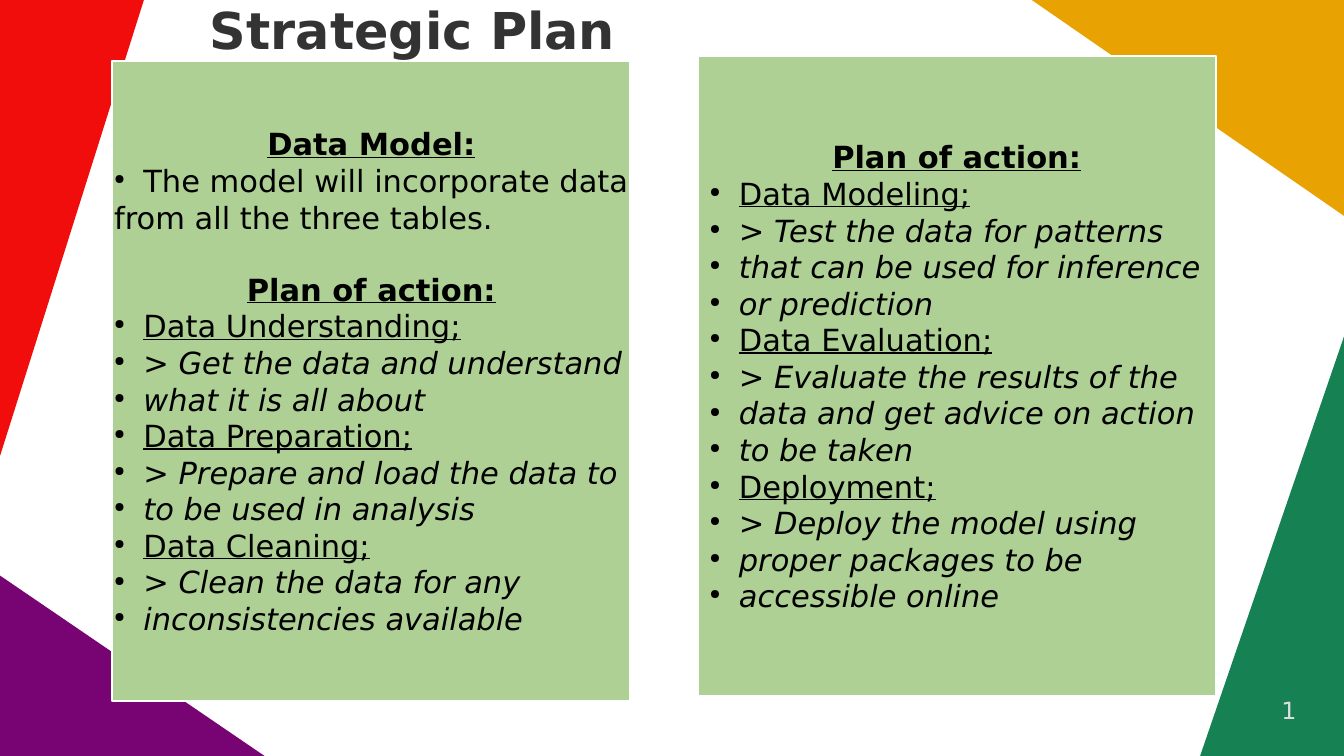
from dataclasses import dataclass
from enum import Enum

from lxml.etree import SubElement
from pptx import Presentation
from pptx.dml.color import RGBColor
from pptx.enum.shapes import MSO_SHAPE
from pptx.enum.text import MSO_ANCHOR, MSO_AUTO_SIZE, PP_ALIGN
from pptx.oxml.ns import qn
from pptx.slide import Slide
from pptx.util import Inches, Pt

WIDTH, HEIGHT = 11.02, 6.2
FONT = "DejaVu Sans"
PURPLE = RGBColor(0x78, 0x03, 0x73)
RED = RGBColor(0xF1, 0x0D, 0x0C)
AMBER = RGBColor(0xE8, 0xA2, 0x02)
GREEN = RGBColor(0x16, 0x82, 0x53)
PALE_GREEN = RGBColor(0xAF, 0xD0, 0x95)
WHITE = RGBColor(0xFF, 0xFF, 0xFF)
BLACK = RGBColor(0, 0, 0)
DARK_GREY = RGBColor(0x33, 0x33, 0x33)
LIGHT_GREY = RGBColor(0xDD, 0xDD, 0xDD)


class Style(Enum):
    HEADING = "heading"
    PLAIN = "plain"
    POINT = "point"
    STEP = "step"
    DETAIL = "detail"


@dataclass
class Corner:
    points: list[tuple[float, float]]
    color: RGBColor


@dataclass
class Line:
    style: Style
    text: str
    mark: str = ""  # upright lead-in before the text
    gap: float = 0


@dataclass
class Panel:
    left: float
    top: float
    lines: list[Line]


CORNERS = [
    Corner([(0, 4.72), (0, HEIGHT), (2.17, HEIGHT)], PURPLE),
    Corner([(0, 0), (0, 3.74), (1.18, 0)], RED),
    Corner([(WIDTH, 0), (8.46, 0), (WIDTH, 1.77)], AMBER),
    Corner([(WIDTH, HEIGHT), (WIDTH, 2.76), (9.84, HEIGHT)], GREEN),
]

PANELS = [
    Panel(0.92, 0.5, [
        Line(Style.HEADING, "Data Model:"),
        Line(Style.POINT, "The model will incorporate data"),
        Line(Style.PLAIN, "from all the three tables."),
        Line(Style.HEADING, "Plan of action:", gap=21),
        Line(Style.STEP, "Data Understanding;"),
        Line(Style.DETAIL, "> Get the data and understand"),
        Line(Style.DETAIL, "what it is all about"),
        Line(Style.STEP, "Data Preparation;"),
        Line(Style.DETAIL, "> Prepare and load the data to"),
        Line(Style.DETAIL, "to be used in analysis"),
        Line(Style.STEP, "Data Cleaning;"),
        Line(Style.DETAIL, "> Clean the data for any"),
        Line(Style.DETAIL, "inconsistencies available"),
    ]),
    Panel(5.72, 0.46, [
        Line(Style.HEADING, "Plan of action:"),
        Line(Style.STEP, "Data Modeling;"),
        Line(Style.DETAIL, "Test the data for patterns", mark="> "),
        Line(Style.DETAIL, "that can be used for inference"),
        Line(Style.DETAIL, "or prediction"),
        Line(Style.STEP, "Data Evaluation;"),
        Line(Style.DETAIL, "Evaluate the results of the", mark="> "),
        Line(Style.DETAIL, "data and get advice on action"),
        Line(Style.DETAIL, "to be taken"),
        Line(Style.STEP, "Deployment;"),
        Line(Style.DETAIL, "Deploy the model using", mark="> "),
        Line(Style.DETAIL, "proper packages to be"),
        Line(Style.DETAIL, "accessible online"),
    ]),
]


def format_span(span, size: float, color: RGBColor) -> None:
    span.font.name = FONT
    span.font.size = Pt(size)
    span.font.color.rgb = color


def clear_margins(frame) -> None:
    frame.margin_left = frame.margin_right = 0
    frame.margin_top = frame.margin_bottom = 0


def draw_corner(page: Slide, corner: Corner) -> None:
    start, *rest = [(Inches(x), Inches(y)) for x, y in corner.points]
    builder = page.shapes.build_freeform(*start)
    builder.add_line_segments(rest, close=True)
    shape = builder.convert_to_shape()
    shape.shadow.inherit = False
    shape.fill.solid()
    shape.fill.fore_color.rgb = corner.color
    shape.line.fill.background()


def add_bullet(para) -> None:
    properties = para._p.get_or_add_pPr()
    properties.set("marL", str(Inches(0.24)))
    properties.set("indent", str(Inches(-0.24)))
    color = SubElement(properties, qn("a:buClr"))
    SubElement(color, qn("a:srgbClr"), val=str(BLACK))
    SubElement(properties, qn("a:buSzPct"), val="45000")
    SubElement(properties, qn("a:buChar"), char="●")


def write_line(para, line: Line) -> None:
    heading = line.style is Style.HEADING
    para.alignment = PP_ALIGN.CENTER if heading else PP_ALIGN.LEFT
    if line.gap:
        para.space_before = Pt(line.gap)
    if line.style not in (Style.HEADING, Style.PLAIN):
        add_bullet(para)
    if line.mark:
        mark = para.add_run()
        mark.text = line.mark
        format_span(mark, 18, BLACK)
    span = para.add_run()
    span.text = line.text
    format_span(span, 18, BLACK)
    span.font.bold = heading
    span.font.underline = line.style in (Style.HEADING, Style.STEP)
    span.font.italic = line.style is Style.DETAIL


def draw_panel(page: Slide, panel: Panel) -> None:
    box = page.shapes.add_shape(MSO_SHAPE.RECTANGLE, Inches(panel.left),
                                Inches(panel.top), Inches(4.25), Inches(5.25))
    box.shadow.inherit = False
    box.fill.solid()
    box.fill.fore_color.rgb = PALE_GREEN
    box.line.color.rgb = WHITE
    box.line.width = Pt(1.42)
    frame = box.text_frame
    frame.word_wrap = False
    frame.vertical_anchor = MSO_ANCHOR.MIDDLE
    for index, line in enumerate(panel.lines):
        para = frame.add_paragraph() if index else frame.paragraphs[0]
        write_line(para, line)


def write_title(page: Slide) -> None:
    title = page.shapes.title
    title.left, title.top = Inches(-1.34), Inches(-0.25)
    title.width, title.height = Inches(9.45), Inches(0.98)
    frame = title.text_frame
    frame.text = "Strategic Plan"
    frame.auto_size = MSO_AUTO_SIZE.NONE
    frame.vertical_anchor = MSO_ANCHOR.MIDDLE
    clear_margins(frame)
    para = frame.paragraphs[0]
    para.alignment = PP_ALIGN.CENTER
    format_span(para.runs[0], 30, DARK_GREY)
    para.runs[0].font.bold = True


def write_page_number(page: Slide) -> None:
    box = page.shapes.add_textbox(Inches(8.07), Inches(5.71),
                                  Inches(2.56), Inches(0.39))
    frame = box.text_frame
    frame.word_wrap = True
    clear_margins(frame)
    frame.text = "1"
    para = frame.paragraphs[0]
    para.alignment = PP_ALIGN.RIGHT
    format_span(para.runs[0], 14, LIGHT_GREY)


def main() -> None:
    deck = Presentation()
    deck.slide_width, deck.slide_height = Inches(WIDTH), Inches(HEIGHT)
    page = deck.slides.add_slide(deck.slide_layouts[5])
    # Coloured corners
    for corner in CORNERS:
        draw_corner(page, corner)
    # Title, panels and page number
    write_title(page)
    for panel in PANELS:
        draw_panel(page, panel)
    write_page_number(page)
    deck.save("out.pptx")


if __name__ == "__main__":
    main()
